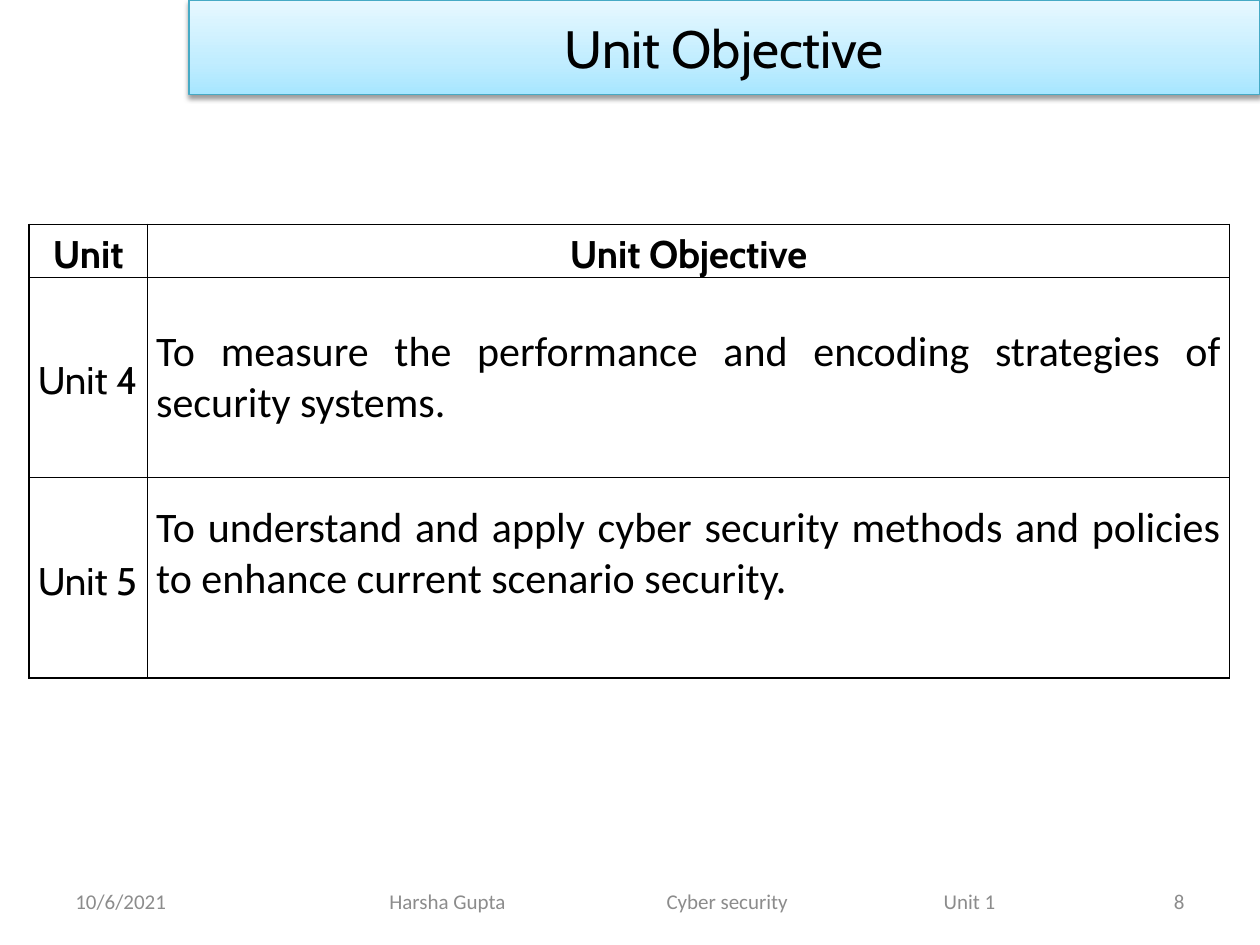
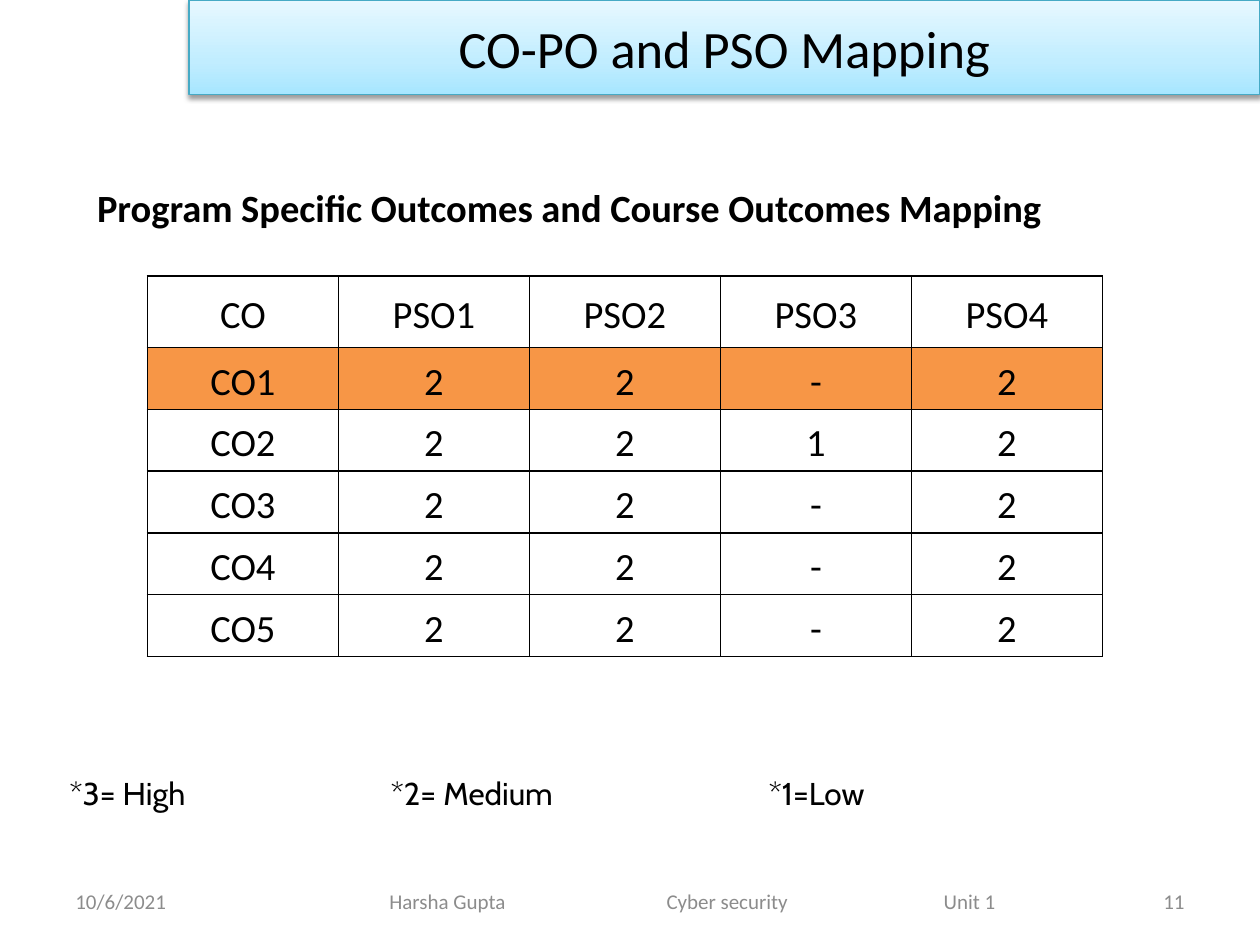
from lxml.etree import SubElement
from pptx import Presentation
from pptx.dml.color import RGBColor
from pptx.enum.text import MSO_ANCHOR, PP_ALIGN
from pptx.oxml import parse_xml
from pptx.oxml.ns import nsdecls, qn
from pptx.util import Inches, Pt

# Shared style
BLACK = RGBColor(0x00, 0x00, 0x00)
GREY = RGBColor(0x8C, 0x8C, 0x8C)
BAND_EDGE = RGBColor(0x46, 0xAA, 0xC5)
ORANGE = RGBColor(0xF7, 0x96, 0x46)
BAND_STOPS = [
    (0, RGBColor(0xA7, 0xE6, 0xFF)),
    (35, RGBColor(0xC1, 0xED, 0xFF)),
    (100, RGBColor(0xE7, 0xF8, 0xFF)),
]
BODY_FONT = "Calibri"
ACCENT_FONT = "Cabin"
DATE = "10/6/2021"
FOOTER = "Harsha Gupta\tCyber security\tUnit 1"


def style_paragraph(para, size, font=BODY_FONT, color=BLACK, bold=False,
                    align=PP_ALIGN.LEFT):
    para.alignment = align
    for span in para.runs:
        span.font.size = Pt(size)
        span.font.name = font
        span.font.color.rgb = color
        span.font.bold = bold


def add_text(page, text, left, top, width, height, size, inset=0.1, tabs=(),
             **style):
    box = page.shapes.add_textbox(
        Inches(left), Inches(top), Inches(width), Inches(height))
    frame = box.text_frame
    frame.word_wrap = True
    frame.vertical_anchor = MSO_ANCHOR.MIDDLE
    frame.margin_left = Inches(inset)
    frame.text = text
    para = frame.paragraphs[0]
    style_paragraph(para, size, **style)
    if tabs:
        tab_list = SubElement(para._p.get_or_add_pPr(), qn("a:tabLst"))
        for position in tabs:
            SubElement(tab_list, qn("a:tab"), pos=str(Inches(position)), algn="l")
    return box


def add_title_band(page, text, font):
    title = page.shapes.title
    title.left, title.top = Inches(1.5), Inches(0)
    title.width, title.height = Inches(8.5), Inches(0.75)
    title.line.color.rgb = BAND_EDGE
    title.line.width = Pt(0.75)
    frame = title.text_frame
    frame.text = text
    frame.vertical_anchor = MSO_ANCHOR.MIDDLE
    style_paragraph(frame.paragraphs[0], 30, font, align=PP_ALIGN.CENTER)

    # Upward gradient and soft shadow below
    stops = "".join(
        f'<a:gs pos="{position * 1000}"><a:srgbClr val="{color}"/></a:gs>'
        for position, color in BAND_STOPS)
    gradient = parse_xml(
        f'<a:gradFill {nsdecls("a")} rotWithShape="1"><a:gsLst>{stops}</a:gsLst>'
        '<a:lin ang="16200000" scaled="0"/></a:gradFill>')
    shadow = parse_xml(
        f'<a:effectLst {nsdecls("a")}><a:outerShdw blurRad="{Pt(3.1)}" '
        f'dist="{Pt(1.6)}" dir="5400000" rotWithShape="0">'
        '<a:srgbClr val="000000"><a:alpha val="38000"/></a:srgbClr>'
        '</a:outerShdw></a:effectLst>')
    outline = title._element.spPr.find(qn("a:ln"))
    outline.addprevious(gradient)
    outline.addnext(shadow)


def add_footer(page, number):
    add_text(page, DATE, 0.5, 6.95, 2.33, 0.4, 12, color=GREY)
    add_text(page, FOOTER, 2.75, 6.95, 5.5, 0.4, 12, inset=0.34,
             tabs=(2.2, 4.4), color=GREY)
    add_text(page, str(number), 7.17, 6.95, 2.33, 0.4, 12, color=GREY,
             align=PP_ALIGN.RIGHT)


def add_page(deck, title, number, title_font=BODY_FONT):
    page = deck.slides.add_slide(deck.slide_layouts[5])
    add_title_band(page, title, title_font)
    add_footer(page, number)
    return page


def format_cell(cell, text, size, spacing=1.15, fill=None, **style):
    cell.text = text
    cell.vertical_anchor = MSO_ANCHOR.MIDDLE
    cell.margin_left = cell.margin_right = Inches(0.07)
    cell.margin_top = cell.margin_bottom = Inches(0)
    para = cell.text_frame.paragraphs[0]
    para.line_spacing = spacing
    style_paragraph(para, size, **style)
    for side in ("lnL", "lnR", "lnT", "lnB"):
        cell._tc.get_or_add_tcPr().append(parse_xml(
            f'<a:{side} {nsdecls("a")} w="{Pt(1)}"><a:solidFill>'
            f'<a:srgbClr val="{BLACK}"/></a:solidFill></a:{side}>'))
    if fill is None:
        cell.fill.background()
    else:
        cell.fill.solid()
        cell.fill.fore_color.rgb = fill


def add_grid(page, left, top, widths, heights):
    table = page.shapes.add_table(
        len(heights), len(widths), Inches(left), Inches(top),
        Inches(sum(widths)), Inches(sum(heights))).table
    table.first_row = table.horz_banding = False
    for column, width in zip(table.columns, widths):
        column.width = Inches(width)
    for row, height in zip(table.rows, heights):
        row.height = Inches(height)
    return table


def build_objectives(deck):
    page = add_page(deck, "Unit Objective", 8, ACCENT_FONT)
    objectives = [
        ("Unit 4", "To measure the performance and encoding strategies of "
                   "security systems."),
        ("Unit 5", "To understand and apply cyber security methods and policies "
                   "to enhance current scenario security."),
    ]
    table = add_grid(page, 0.23, 1.78, [0.94, 8.59], [0.37, 1.59, 1.59])
    for column, heading in enumerate(("Unit", "Unit Objective")):
        format_cell(table.cell(0, column), heading, 22, font=ACCENT_FONT,
                    bold=True, align=PP_ALIGN.CENTER)
    for row, (unit, objective) in enumerate(objectives, start=1):
        format_cell(table.cell(row, 0), unit, 22, font=ACCENT_FONT,
                    align=PP_ALIGN.JUSTIFY)
        format_cell(table.cell(row, 1), objective, 24, spacing=1.0,
                    align=PP_ALIGN.JUSTIFY)
    # The last objective sits a little above the middle
    table.cell(2, 1).margin_bottom = Inches(0.38)


def build_mapping(deck):
    page = add_page(deck, "CO-PO and PSO Mapping", 11)
    heading = add_text(
        page, "Program Specific Outcomes and Course Outcomes Mapping",
        0.47, 1.41, 8.52, 0.42, 22, inset=0.3, bold=True)
    heading.text_frame.margin_bottom = Inches(0)

    # Outcome levels, with the first course outcome highlighted
    levels = [
        ("CO", "PSO1", "PSO2", "PSO3", "PSO4"),
        ("CO1", "2", "2", "-", "2"),
        ("CO2", "2", "2", "1", "2"),
        ("CO3", "2", "2", "-", "2"),
        ("CO4", "2", "2", "-", "2"),
        ("CO5", "2", "2", "-", "2"),
    ]
    table = add_grid(page, 1.17, 2.19, [1.516] * 5, [0.57] + [0.49] * 5)
    for row, values in enumerate(levels):
        for column, value in enumerate(values):
            format_cell(table.cell(row, column), value, 22,
                        fill=ORANGE if row == 1 else None,
                        align=PP_ALIGN.CENTER)

    # Legend
    add_text(page, "*3= High\t*2= Medium\t*1=Low", 0, 6.09, 9.77, 0.4, 18,
             inset=0.55, tabs=(2.55, 5.55), font=ACCENT_FONT)


def main():
    deck = Presentation()
    deck.slide_width, deck.slide_height = Inches(10), Inches(7.5)
    build_objectives(deck)
    build_mapping(deck)
    deck.save("out.pptx")


if __name__ == "__main__":
    main()
